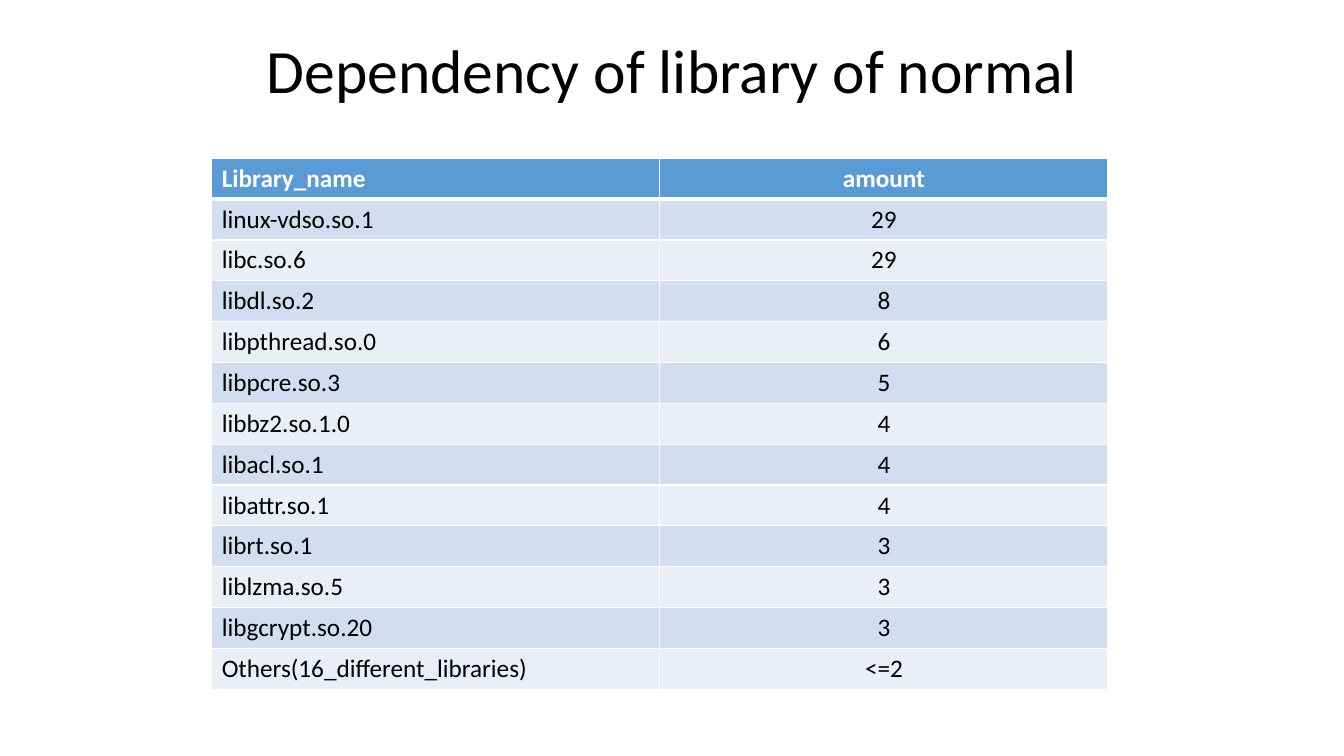
"""Build a slide with a table of library dependencies."""
from dataclasses import dataclass

import lxml.etree
import pptx
import pptx.dml.color
import pptx.enum.text
import pptx.oxml.ns
import pptx.table
import pptx.text.text
import pptx.util

Inches = pptx.util.Inches
Pt = pptx.util.Pt
RGBColor = pptx.dml.color.RGBColor
PP_ALIGN = pptx.enum.text.PP_ALIGN
MSO_ANCHOR = pptx.enum.text.MSO_ANCHOR
qn = pptx.oxml.ns.qn

WHITE = RGBColor(0xFF, 0xFF, 0xFF)
BLACK = RGBColor(0x00, 0x00, 0x00)
HEADER_BLUE = RGBColor(0x5B, 0x9B, 0xD5)
BAND_DARK = RGBColor(0xD2, 0xDE, 0xEF)
BAND_LIGHT = RGBColor(0xEA, 0xEF, 0xF7)
FONT = "Calibri"


@dataclass
class Row:
    name: str
    amount: str


ROWS = [
    Row("Library_name", "amount"),
    Row("linux-vdso.so.1", "29"),
    Row("libc.so.6", "29"),
    Row("libdl.so.2", "8"),
    Row("libpthread.so.0", "6"),
    Row("libpcre.so.3", "5"),
    Row("libbz2.so.1.0", "4"),
    Row("libacl.so.1", "4"),
    Row("libattr.so.1", "4"),
    Row("librt.so.1", "3"),
    Row("liblzma.so.5", "3"),
    Row("libgcrypt.so.20", "3"),
    Row("Others(16_different_libraries)", "<=2"),
]


def format_text(p: pptx.text.text._Paragraph, size: int, color: RGBColor,
                align: PP_ALIGN, bold: bool = False) -> None:
    p.alignment = align
    for r in p.runs:
        r.font.name = FONT
        r.font.size = Pt(size)
        r.font.bold = bold
        r.font.color.rgb = color


def set_borders(cell: pptx.table._Cell, top: int, bottom: int) -> None:
    tc_pr = cell._tc.get_or_add_tcPr()
    for tag, width in (("a:lnL", 1), ("a:lnR", 1), ("a:lnT", top), ("a:lnB", bottom)):
        ln = lxml.etree.SubElement(tc_pr, qn(tag), w=str(Pt(width)))
        fill = lxml.etree.SubElement(ln, qn("a:solidFill"))
        lxml.etree.SubElement(fill, qn("a:srgbClr"), val=str(WHITE))


def add_title(s: pptx.slide.Slide, text: str) -> None:
    tf = s.shapes.add_textbox(Inches(0.92), 0, Inches(11.5), Inches(1.45)).text_frame
    tf.word_wrap = True
    tf.vertical_anchor = MSO_ANCHOR.MIDDLE
    tf.text = text
    p = tf.paragraphs[0]
    p.line_spacing = 0.9
    format_text(p, 44, BLACK, PP_ALIGN.CENTER)


def add_library_table(s: pptx.slide.Slide, rows: list[Row]) -> None:
    table = s.shapes.add_table(len(rows), 2, Inches(2.1), Inches(1.57),
                               Inches(8.89), Inches(5.27)).table
    for i, row in enumerate(rows):
        header = i == 0
        fill = HEADER_BLUE if header else BAND_DARK if i % 2 else BAND_LIGHT
        columns = ((row.name, PP_ALIGN.LEFT), (row.amount, PP_ALIGN.CENTER))
        for j, (text, align) in enumerate(columns):
            cell = table.cell(i, j)
            set_borders(cell, top=3 if i == 1 else 1, bottom=3 if header else 1)
            cell.fill.solid()
            cell.fill.fore_color.rgb = fill
            cell.text_frame.text = text
            format_text(cell.text_frame.paragraphs[0], 18,
                        WHITE if header else BLACK, align, header)


def main() -> None:
    prs = pptx.Presentation()
    prs.slide_width = Inches(13.33)
    prs.slide_height = Inches(7.5)
    s = prs.slides.add_slide(prs.slide_layouts[6])
    add_title(s, "Dependency of library of normal")
    add_library_table(s, ROWS)
    prs.save("out.pptx")


if __name__ == "__main__":
    main()
